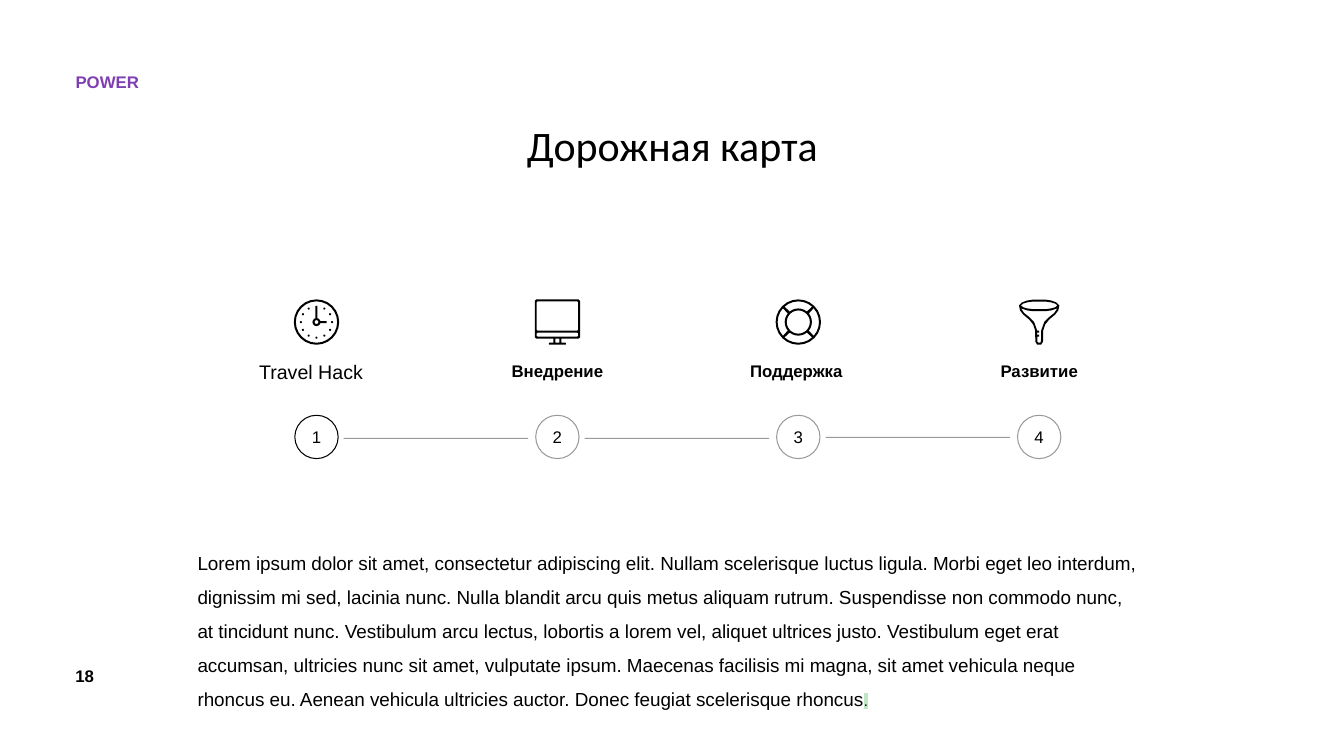
from dataclasses import dataclass
from math import cos, pi, sin

from lxml.etree import SubElement
from pptx import Presentation
from pptx.dml.color import RGBColor
from pptx.enum.shapes import MSO_CONNECTOR, MSO_SHAPE
from pptx.enum.text import MSO_ANCHOR, PP_ALIGN
from pptx.oxml.ns import qn
from pptx.slide import Slide
from pptx.util import Inches, Pt

STRAIGHT = MSO_CONNECTOR.STRAIGHT
OVAL = MSO_SHAPE.OVAL
LEFT, CENTER = PP_ALIGN.LEFT, PP_ALIGN.CENTER
TOP, MIDDLE = MSO_ANCHOR.TOP, MSO_ANCHOR.MIDDLE

BLACK = RGBColor(0x00, 0x00, 0x00)
PURPLE = RGBColor(0x7F, 0x3E, 0xB2)
HIGHLIGHT = "C1E6C6"

# Grid in inches: four step columns, and rows for icons, labels and circles
SLIDE_WIDTH, SLIDE_HEIGHT = 40 / 3, 7.5
FIRST_COLUMN, COLUMN_PITCH = 3.14, 2.39
ICON_TOP, LABEL_TOP, CIRCLE_TOP = 2.97, 3.62, 4.12
CONTENT_LEFT, CONTENT_WIDTH = 1.96, 9.42
CIRCLE_SIZE = 0.43
THIN_LINE, FADED = 0.75, 40
NO_INSETS, INSETS = (0, 0, 0, 0), (0.1, 0.05, 0.1, 0.05)

BODY = (
    "Lorem ipsum dolor sit amet, consectetur adipiscing elit. Nullam scelerisque "
    "luctus ligula. Morbi eget leo interdum, dignissim mi sed, lacinia nunc. Nulla "
    "blandit arcu quis metus aliquam rutrum. Suspendisse non commodo nunc, at "
    "tincidunt nunc. Vestibulum arcu lectus, lobortis a lorem vel, aliquet ultrices "
    "justo. Vestibulum eget erat accumsan, ultricies nunc sit amet, vulputate ipsum. "
    "Maecenas facilisis mi magna, sit amet vehicula neque rhoncus eu. Aenean vehicula "
    "ultricies auctor. Donec feugiat scelerisque rhoncus"
)

# Icon outlines are in hundredths of an inch: x from the column, y from the icon row
Contour = list[tuple[float, float]]
ICON_MIDDLE = 22.5


def arc(radius: float, start: float, end: float, steps: int) -> Contour:
    """Points on an arc around the icon's middle, angles in degrees."""
    angles = [(start + (end - start) * n / steps) * pi / 180 for n in range(steps + 1)]
    return [(radius * cos(a), ICON_MIDDLE + radius * sin(a)) for a in angles]


def circle(radius: float, points: int = 24) -> Contour:
    return arc(radius, 0, 360, points)[:-1]


def block(left: float, top: float, right: float, bottom: float,
          corner: float = 0) -> Contour:
    """A rectangle, with cut corners if asked."""
    if not corner:
        return [(left, top), (right, top), (right, bottom), (left, bottom)]
    return [(left, top + corner), (left + corner, top), (right - corner, top),
            (right, top + corner), (right, bottom - corner), (right - corner, bottom),
            (left + corner, bottom), (left, bottom - corner)]


def mirrored(half: Contour) -> Contour:
    return half + [(-x, y) for x, y in reversed(half)]


def clock() -> list[Contour]:
    marks = [arc(15.5, hour * 30 - 90, 0, 1)[0] for hour in range(1, 12)]
    return [circle(22.5), circle(20.5), circle(4, 12), circle(2, 8),
            block(-1, 6.5, 1, 18.8), block(3.8, 21.5, 10, 23.5),
            *(block(x - 1, y - 1, x + 1, y + 1, 0.6) for x, y in marks)]


def monitor() -> list[Contour]:
    return [block(-22.5, 0, 22.5, 39, 1.5), block(-20.5, 2, 20.5, 31, 0.8),
            block(-20.5, 33, 20.5, 37, 0.8), block(-4, 39, -2, 43),
            block(2, 39, 4, 43), block(-8.5, 43, 8.5, 45, 0.5)]


def lifebuoy() -> list[Contour]:
    gaps = [arc(20.5, middle - 42, middle + 42, 6) + arc(13.5, middle + 39, middle - 39, 6)
            for middle in (0, 90, 180, 270)]
    return [circle(22.5), circle(11.5), *gaps]


def funnel() -> list[Contour]:
    outside = mirrored([(-6, 0.2), (-12, 1.2), (-17, 3), (-20, 6), (-19, 11), (-16, 15),
                        (-10, 20), (-6, 25), (-4, 31), (-3.8, 42), (-2, 45)])
    mouth = mirrored([(-6, 2.2), (-12, 3), (-16, 4.3), (-18, 6),
                      (-16, 7.8), (-12, 9), (-6, 9.8)])
    inside = mirrored([(-6, 11.8), (-12, 11), (-18, 9), (-15, 13.5), (-10, 17.5),
                       (-5, 22.5), (-2, 31), (-1.8, 42), (-1, 43)])
    ticks = [block(-2, top, 0, top + 2) for top in (31, 35)]
    return [outside, mouth, inside, *ticks]


@dataclass
class Step:
    label: str
    label_width: float
    icon: list[Contour]
    size: float = 12
    bold: bool = True
    align: PP_ALIGN = CENTER
    opacity: int = FADED
    label_shift: float = 0
    line_row: float = 4.35


STEPS = [
    Step("Travel Hack", 1.14, clock(), size=14, bold=False, align=LEFT, opacity=100),
    Step("Внедрение", 1.22, monitor()),
    Step("Поддержка", 1.41, lifebuoy(), label_shift=-0.02, line_row=4.34),
    Step("Развитие", 0.88, funnel()),
]


def format_run(run, *, size=12.0, font="Arial", color=BLACK, bold=False) -> None:
    run.font.size = Pt(size)
    run.font.name = font
    run.font.color.rgb = color
    run.font.bold = bold


def write(shape, text: str, *, align=LEFT, anchor=TOP, insets=INSETS,
          spacing=1.0, **font) -> None:
    """Put one formatted paragraph into a shape."""
    frame = shape.text_frame
    frame.word_wrap = True
    frame.vertical_anchor = anchor
    (frame.margin_left, frame.margin_top,
     frame.margin_right, frame.margin_bottom) = map(Inches, insets)
    paragraph = frame.paragraphs[0]
    paragraph.alignment = align
    paragraph.line_spacing = spacing
    run = paragraph.add_run()
    run.text = text
    format_run(run, **font)


def add_text(slide: Slide, text: str, left: float, top: float, width: float,
             height: float, **text_format):
    box = slide.shapes.add_textbox(*map(Inches, (left, top, width, height)))
    write(box, text, **text_format)
    return box


def set_line(shape, opacity: int) -> None:
    shape.line.color.rgb = BLACK
    shape.line.width = Pt(THIN_LINE)
    if opacity < 100:
        line = next(shape.element.iter(qn("a:ln")))
        color = next(line.iter(qn("a:srgbClr")))
        SubElement(color, qn("a:alpha")).set("val", str(opacity * 1000))


def add_icon(slide: Slide, x: float, contours: list[Contour]) -> None:
    """Draw all contours as one filled shape; inner contours become holes."""
    placed = [[(Inches(x + dx / 100), Inches(ICON_TOP + dy / 100)) for dx, dy in contour]
              for contour in contours]
    builder = slide.shapes.build_freeform(*placed[0][0], scale=1.0)
    for index, points in enumerate(placed):
        if index:
            builder.move_to(*points[0])
        builder.add_line_segments(points[1:], close=True)
    icon = builder.convert_to_shape()
    icon.shadow.inherit = False
    icon.fill.solid()
    icon.fill.fore_color.rgb = BLACK
    icon.line.fill.background()


def add_number(slide: Slide, x: float, number: int, opacity: int) -> None:
    ring = slide.shapes.add_shape(OVAL, *map(Inches, (
        x - CIRCLE_SIZE / 2, CIRCLE_TOP, CIRCLE_SIZE, CIRCLE_SIZE)))
    ring.shadow.inherit = False
    ring.fill.background()
    set_line(ring, opacity)
    write(ring, str(number), align=CENTER, anchor=MIDDLE)


def add_link(slide: Slide, x: float, y: float) -> None:
    """Draw the line from one step's circle towards the next."""
    link = slide.shapes.add_connector(STRAIGHT, *map(Inches, (
        x + 0.27, y, x + COLUMN_PITCH - 0.29, y)))
    set_line(link, FADED)
    SubElement(link.element.spPr, qn("a:effectLst"))


def main() -> None:
    presentation = Presentation()
    presentation.slide_width = Inches(SLIDE_WIDTH)
    presentation.slide_height = Inches(SLIDE_HEIGHT)
    slide = presentation.slides.add_slide(presentation.slide_layouts[6])

    # Page number, section name and title
    add_text(slide, "18", 0.65, 6.56, 0.4, 0.3, bold=True)
    add_text(slide, "POWER", 0.75, 0.66, 0.77, 0.3, insets=(0, 0.05, 0, 0.05),
             color=PURPLE, bold=True)
    add_text(slide, "Дорожная карта", CONTENT_LEFT, 1.14, CONTENT_WIDTH, 0.54,
             align=CENTER, size=30, font="Calibri")

    # Roadmap: icons with labels, numbered circles, then the lines between them
    columns = [FIRST_COLUMN + index * COLUMN_PITCH for index in range(len(STEPS))]
    for x, step in zip(columns, STEPS):
        add_icon(slide, x, step.icon)
        add_text(slide, step.label, x + step.label_shift - step.label_width / 2,
                 LABEL_TOP, step.label_width, 0.18, align=step.align, insets=NO_INSETS,
                 spacing=0.8, size=step.size, bold=step.bold)
    for number, (x, step) in enumerate(zip(columns, STEPS), start=1):
        add_number(slide, x, number, step.opacity)
    for x, step in zip(columns[:-1], STEPS):
        add_link(slide, x, step.line_row)

    # Body text with a highlighted full stop
    body = add_text(slide, BODY, CONTENT_LEFT, 5.36, CONTENT_WIDTH, 1.59,
                    insets=(0, 0, 0.1, 0), spacing=1.5, size=13.5)
    stop = body.text_frame.paragraphs[0].add_run()
    stop.text = "."
    format_run(stop, size=10.5)
    properties = list(body.element.iter(qn("a:rPr")))[-1]
    highlight = SubElement(properties, qn("a:highlight"))
    SubElement(highlight, qn("a:srgbClr")).set("val", HIGHLIGHT)
    properties.find(qn("a:latin")).addprevious(highlight)

    presentation.save("out.pptx")


if __name__ == "__main__":
    main()
